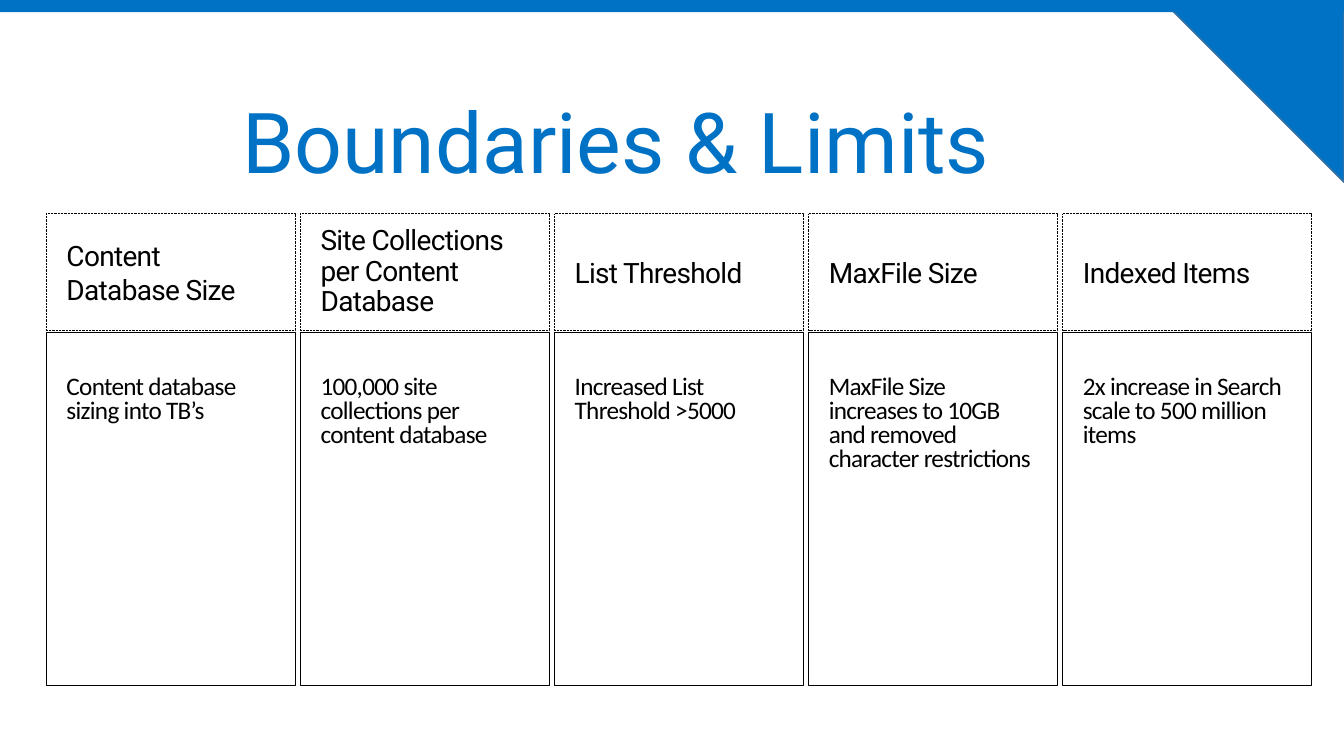
from pptx import Presentation
from pptx.dml.color import RGBColor
from pptx.enum.dml import MSO_LINE as Dash
from pptx.enum.shapes import MSO_SHAPE as Shape
from pptx.enum.text import MSO_ANCHOR as Anchor, PP_ALIGN as Align
from pptx.util import Inches, Pt

BLUE, BLACK, WHITE = "0072C5", "000000", "FFFFFF"
WIDE = 13.33


def color(code):
    return RGBColor.from_string(code)


class Deck:
    head = {"font": "Roboto", "size": 20, "color": BLACK, "track": -50}
    body = {"font": "Calibri", "size": 18, "color": BLACK, "track": -50}
    title = {"font": "Roboto", "size": 60, "color": BLUE, "track": 0}

    def __init__(self):
        self.prs = Presentation()
        self.prs.slide_width = Inches(WIDE)
        self.prs.slide_height = Inches(7.5)
        self.slide = self.prs.slides.add_slide(self.prs.slide_layouts[6])

    def shape(self, kind, box, fill, line=None, width=1, dash=None):
        item = self.slide.shapes.add_shape(kind, *map(Inches, box))
        item.shadow.inherit = False
        item.fill.solid()
        item.fill.fore_color.rgb = color(fill)
        if line:
            item.line.color.rgb = color(line)
            item.line.width = Pt(width)
            if dash:
                item.line.dash_style = dash
        else:
            item.line.fill.background()
        return item

    def label(self, box):
        return self.slide.shapes.add_textbox(*map(Inches, box))

    def words(self, item, text, style, frame, para):
        area = item.text_frame
        area.word_wrap = True
        for key, val in frame.items():
            setattr(area, key, val)
        line = area.paragraphs[0]
        for key, val in para.items():
            setattr(line, key, val)
        run = line.add_run()
        run.text = text
        look = {"name": style["font"], "size": Pt(style["size"])}
        for key, val in look.items():
            setattr(run.font, key, val)
        run.font.color.rgb = color(style["color"])
        if style["track"]:
            run._r.get_or_add_rPr().set("spc", str(style["track"]))

    def card(self, left, head, text, para):
        wide, pad = 2.47, Inches(0.2)
        sides = {"margin_left": pad, "margin_right": pad}
        box = self.shape(Shape.RECTANGLE, (left, 3.3, wide, 3.5),
                         WHITE, BLACK, 0.85)
        frame = {"vertical_anchor": Anchor.TOP, "margin_top": Inches(0.43),
                 "margin_bottom": Inches(0.1), **sides}
        self.words(box, text, self.body, frame,
                   {"alignment": Align.LEFT, "line_spacing": 0.8,
                    "space_after": Pt(6.1)})
        box = self.shape(Shape.RECTANGLE, (left, 2.12, wide, 1.16),
                         WHITE, BLACK, 0.5, Dash.ROUND_DOT)
        frame = {"vertical_anchor": Anchor.MIDDLE, "margin_top": pad,
                 "margin_bottom": pad, **sides}
        self.words(box, head, self.head, frame,
                   {"alignment": Align.LEFT, **para})


def main():
    deck = Deck()
    side = 1.81
    corner = deck.shape(Shape.RIGHT_TRIANGLE, (WIDE - side, 0, side, side),
                        BLUE, "43739E")
    corner.rotation = 180
    deck.shape(Shape.RECTANGLE, (0, 0, WIDE, 0.12), BLUE)
    deck.words(deck.label((1.11, 0.84, 10, 1.11)), "Boundaries & Limits",
               deck.title, {"vertical_anchor": Anchor.BOTTOM},
               {"alignment": Align.CENTER, "line_spacing": 0.9})

    tight = {"line_spacing": 0.9, "space_after": Pt(12)}
    limits = [
        ("Content Database Size", "Content database sizing into TB’s", {}),
        ("Site Collections per Content Database",
         "100,000 site collections per content database", tight),
        ("List Threshold", "Increased List Threshold >5000", {}),
        ("MaxFile Size", "MaxFile Size increases to 10GB and removed "
         "character restrictions", {}),
        ("Indexed Items",
         "2x increase in Search scale to 500 million items", {}),
    ]
    for col, (head, text, para) in enumerate(limits):
        deck.card(0.46 + col * 2.52, head, text, para)
    deck.prs.save("out.pptx")


if __name__ == "__main__":
    main()
